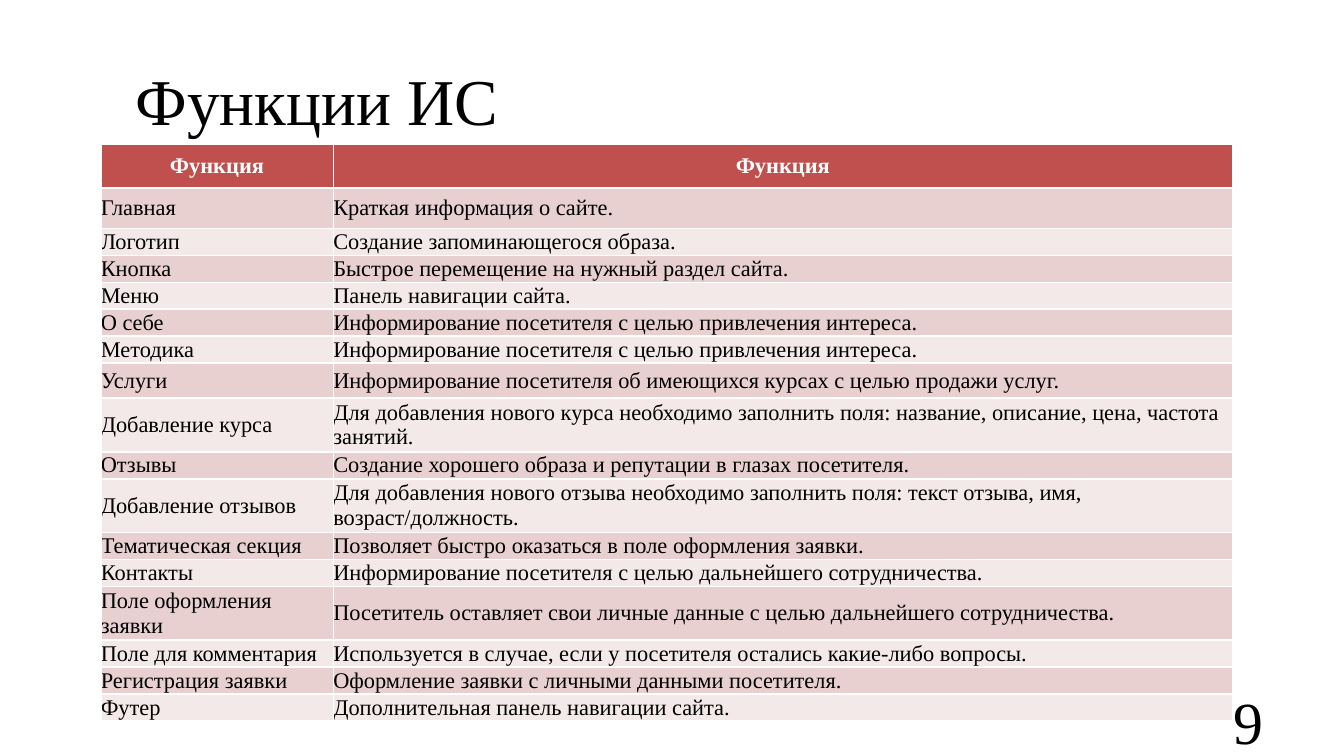
from pptx import Presentation
from pptx import util as u
from pptx.dml.color import RGBColor
from pptx.enum import text as t

HUES = {"ink": "000000", "white": "FFFFFF", "head": "C0504D",
        "odd": "E8D0D0", "even": "F4E9E9"}
ROWS = [
    ("Функция", "Функция"),
    ("Главная", "Краткая информация о сайте."),
    ("Логотип", "Создание запоминающегося образа."),
    ("Кнопка", "Быстрое перемещение на нужный раздел сайта."),
    ("Меню", "Панель навигации сайта."),
    ("О себе", "Информирование посетителя с целью привлечения интереса."),
    ("Методика", "Информирование посетителя с целью привлечения интереса."),
    ("Услуги", "Информирование посетителя об имеющихся курсах с целью продажи услуг."),
    ("Добавление курса", "Для добавления нового курса необходимо заполнить поля: "
     "название, описание, цена, частота занятий."),
    ("Отзывы", "Создание хорошего образа и репутации в глазах посетителя."),
    ("Добавление отзывов", "Для добавления нового отзыва необходимо заполнить поля: "
     "текст отзыва, имя, возраст/должность."),
    ("Тематическая секция", "Позволяет быстро оказаться в поле оформления заявки."),
    ("Контакты", "Информирование посетителя с целью дальнейшего сотрудничества."),
    ("Поле оформления заявки", "Посетитель оставляет свои личные данные "
     "с целью дальнейшего сотрудничества."),
    ("Поле для комментария", "Используется в случае, если у посетителя остались "
     "какие-либо вопросы."),
    ("Регистрация заявки", "Оформление заявки с личными данными посетителя."),
    ("Футер", "Дополнительная панель навигации сайта."),
]
LINE = 0.18  # least row height; rows grow to fit their text
TALL = {0: 0.33, 1: 0.3, 7: 0.26, 8: 2 * LINE, 9: 0.2, 10: 2 * LINE, 13: 2 * LINE}


def write(frame, words, size=12, hue="ink", bold=False, align="LEFT", after=0):
    frame.word_wrap = True
    par = frame.paragraphs[0]
    par.alignment = getattr(t.PP_ALIGN, align)
    par.space_after = u.Pt(after)
    run = par.add_run()
    run.text = words
    run.font.name = "Times New Roman"
    run.font.size = u.Pt(size)
    run.font.bold = bold
    run.font.color.rgb = RGBColor.from_string(HUES[hue])


deck = Presentation()
deck.slide_width = u.Inches(10)
deck.slide_height = u.Inches(10) * 9 // 16
slide = deck.slides.add_slide(deck.slide_layouts[6])

# Title and page number
for words, size, align, spot in [
    ("Функции ИС", 35, "LEFT", (0.91, 0.4, 8.92, 0.68)),
    ("9", 32, "RIGHT", (7.17, 5.21, 2.33, 0.3)),
]:
    frame = slide.shapes.add_textbox(*map(u.Inches, spot)).text_frame
    frame.vertical_anchor = t.MSO_ANCHOR.MIDDLE
    write(frame, words, size=size, align=align)

# Table of functions; its default style draws the white borders
high = [TALL.get(i, LINE) for i in range(len(ROWS))]
spot = (0.75, 1.07, 8.42, sum(high))
table = slide.shapes.add_table(len(ROWS), 2, *map(u.Inches, spot)).table
for col, wide in zip(table.columns, (1.73, 6.69)):
    col.width = u.Inches(wide)

for r, row in enumerate(ROWS):
    table.rows[r].height = u.Inches(high[r])
    top = r == 0
    fill = "head" if top else "odd" if r % 2 else "even"
    for c, words in enumerate(row):
        cell = table.cell(r, c)
        cell.margin_left = cell.margin_right = 0
        cell.margin_top = cell.margin_bottom = 0
        cell.vertical_anchor = t.MSO_ANCHOR.MIDDLE
        cell.fill.solid()
        cell.fill.fore_color.rgb = RGBColor.from_string(HUES[fill])
        write(cell.text_frame, words, hue="white" if top else "ink", bold=top,
              align="CENTER" if top else "LEFT", after=0 if top else 10)

deck.save("out.pptx")
